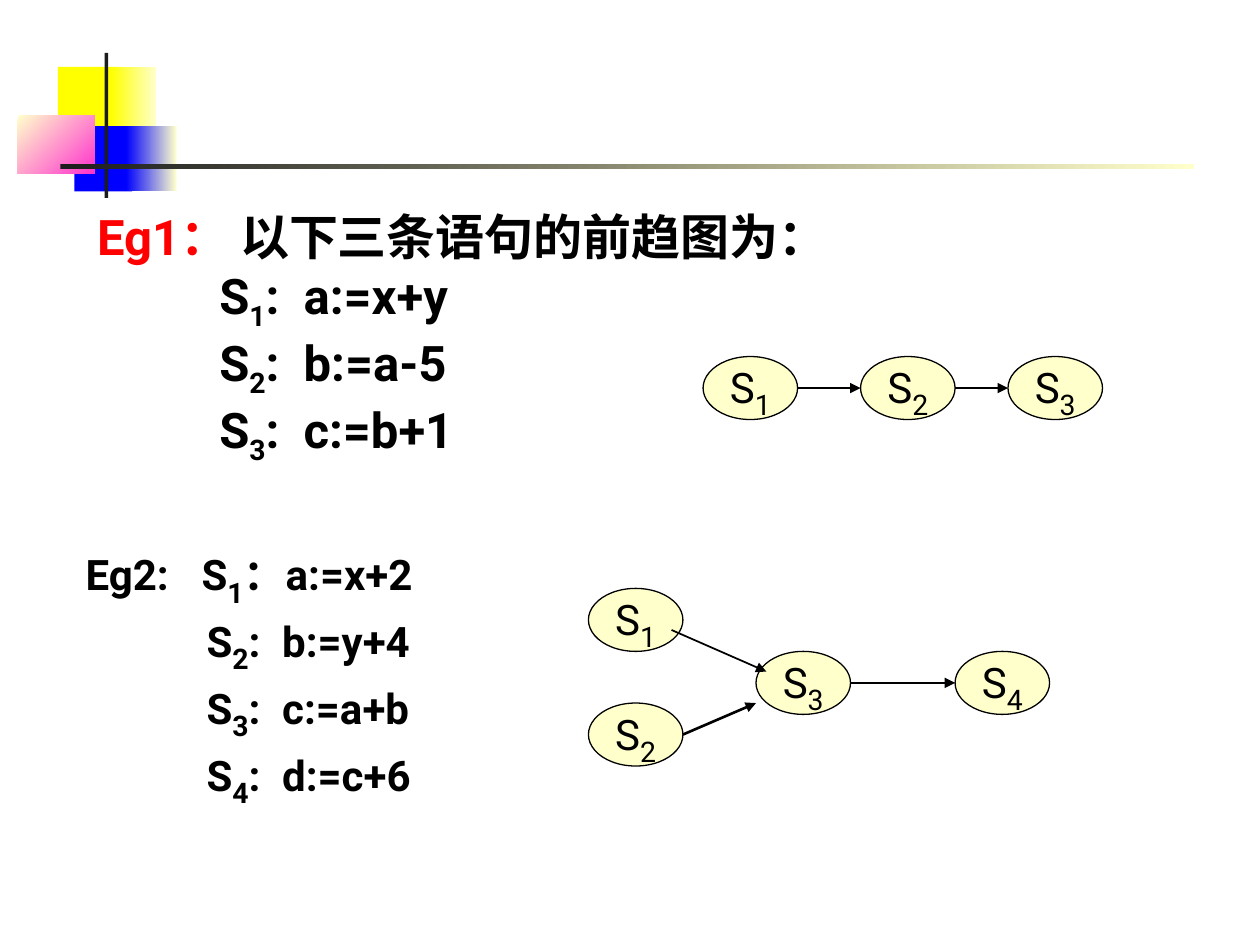
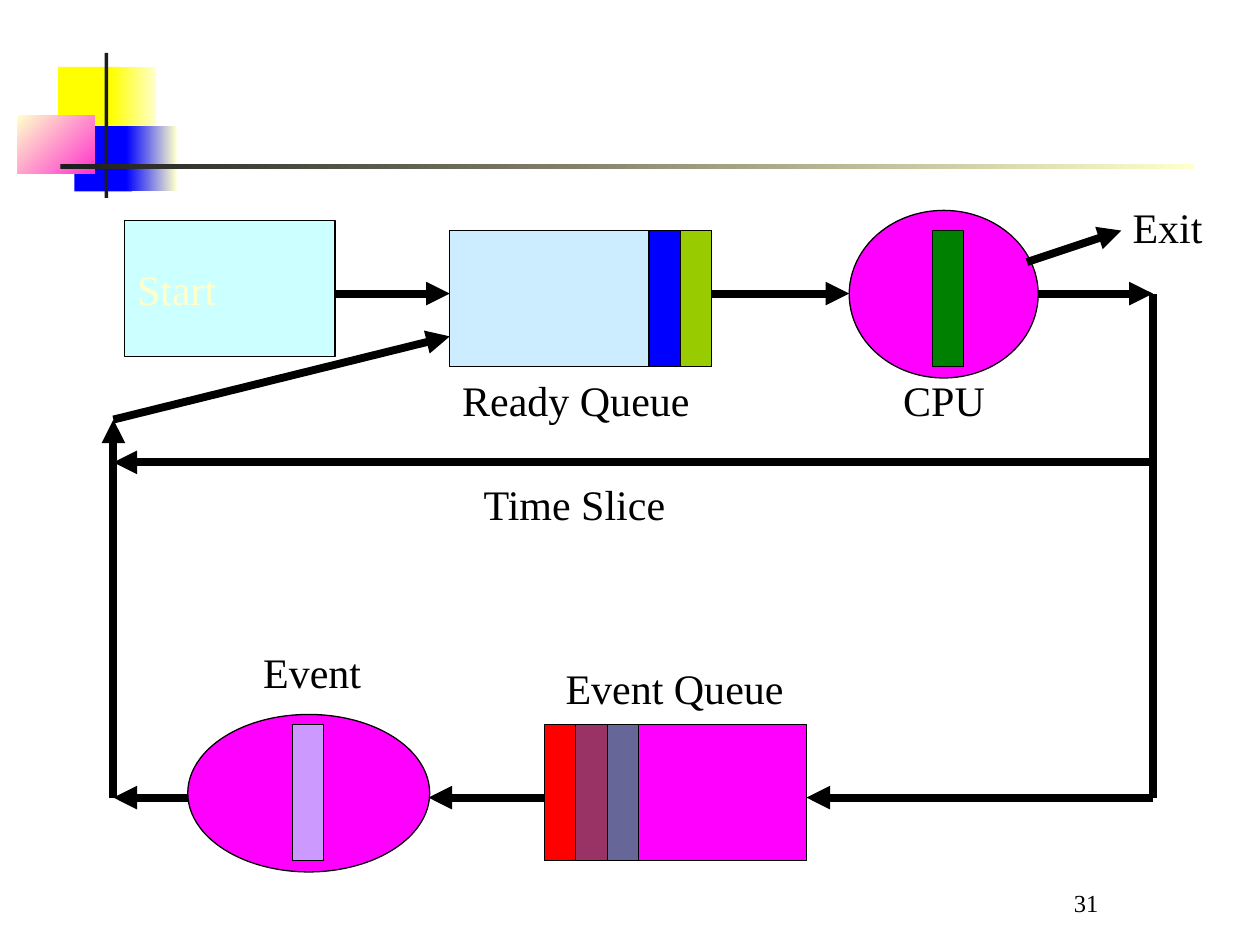
from dataclasses import dataclass

from lxml.etree import SubElement
from pptx import Presentation
from pptx.dml.color import RGBColor
from pptx.enum.shapes import MSO_CONNECTOR as Line, MSO_SHAPE as Shape
from pptx.enum.text import MSO_ANCHOR as Anchor, MSO_AUTO_SIZE as AutoSize, PP_ALIGN as Align
from pptx.oxml.ns import qn
from pptx.util import Inches, Pt


@dataclass(frozen=True)
class Theme:
    sans: str = "Roboto"
    serif: str = "Times New Roman"
    ink: str = "000000"
    cream: str = "FFFFCC"
    red: str = "FF0000"
    yellow: str = "FFFF00"
    blue: str = "0000FF"
    pink: str = "FF33CC"
    charcoal: str = "1C1C1C"
    magenta: str = "FF00FF"
    aqua: str = "CCFFFF"
    sky: str = "CCECFF"
    green: str = "008000"
    lime: str = "99CC00"
    plum: str = "993366"
    slate: str = "666699"
    lilac: str = "CC99FF"
    heading: int = 28
    text: int = 24
    number: int = 14
    outline: float = 0.75
    thin: float = 1
    medium: float = 1.5
    thick: float = 4.5


THEME = Theme()


@dataclass(frozen=True)
class Box:
    left: float
    top: float
    width: float
    height: float

    def inner(self, dx, dy, width, height):
        return Box(self.left + dx, self.top + dy, width, height)

    def point(self, fx, fy):
        """Point at the given fractions of width and height."""
        return self.left + fx * self.width, self.top + fy * self.height

    def lengths(self):
        return [Inches(v) for v in (self.left, self.top, self.width, self.height)]


def set_formats(target, formats):
    for name, value in formats.items():
        setattr(target, name, value)


def place(placeholder, box):
    set_formats(placeholder, dict(zip(("left", "top", "width", "height"), box.lengths())))


def write(paragraph, text, font=THEME.serif, size=THEME.text, color=THEME.ink,
          bold=False, sub_size=None):
    """Add text; the character after an underscore is a subscript."""
    def add(piece, piece_size, subscript=False):
        if not piece:
            return
        run = paragraph.add_run()
        run.text = piece
        set_formats(run.font, {"name": font, "size": Pt(piece_size), "bold": bold})
        run.font.color.rgb = RGBColor.from_string(color)
        if subscript:
            run.font._element.set("baseline", "-25000")

    normal, *rest = text.split("_")
    add(normal, size)
    for piece in rest:
        add(piece[0], sub_size or size, True)
        add(piece[1:], size)


def indent(paragraph, left, hanging):
    """Hang the first line; its tab then lands on the left margin."""
    properties = paragraph._p.get_or_add_pPr()
    properties.set("marL", str(Inches(left)))
    properties.set("indent", str(-Inches(hanging)))
    SubElement(properties, qn("a:buNone"))


def add_figure(slide, kind, box, colors, outlined=True, angle=0):
    """Preset shape with a plain fill, or a gradient for two colours."""
    figure = slide.shapes.add_shape(kind, *box.lengths())
    figure.shadow.inherit = False
    if len(colors) == 1:
        figure.fill.solid()
        figure.fill.fore_color.rgb = RGBColor.from_string(colors[0])
    else:
        figure.fill.gradient()
        figure.fill.gradient_angle = angle
        for stop, color in zip(figure.fill.gradient_stops, colors):
            stop.color.rgb = RGBColor.from_string(color)
    if outlined:
        figure.line.color.rgb = RGBColor.from_string(THEME.ink)
        figure.line.width = Pt(THEME.outline)
    else:
        figure.line.fill.background()
    return figure


def add_line(slide, start, end, width, arrow=True):
    line = slide.shapes.add_connector(Line.STRAIGHT, *[Inches(v) for v in (*start, *end)])
    line.line.color.rgb = RGBColor.from_string(THEME.ink)
    line.line.width = Pt(width)
    properties = line._element.spPr
    if arrow:
        SubElement(properties.find(qn("a:ln")), qn("a:tailEnd"), type="triangle")
    SubElement(properties, qn("a:effectLst"))


def add_label(slide, box, text, size=THEME.text, **frame_formats):
    frame = slide.shapes.add_textbox(*box.lengths()).text_frame
    set_formats(frame, {"word_wrap": False, **frame_formats})
    write(frame.paragraphs[0], text, size=size)
    return frame.paragraphs[0]


def decorate_master(prs, slide):
    """Draw the corner blocks and rules, then hand them to the master."""
    t = THEME
    parts = [
        (Box(0.46, 0.53, 0.48, 0.52), [t.yellow], 0),
        (Box(0.88, 0.53, 0.36, 0.52), [t.yellow, t.cream], 0),
        (Box(0.59, 1, 0.46, 0.52), [t.blue], 0),
        (Box(1, 1, 0.4, 0.52), [t.blue, t.cream], 0),
        (Box(0.14, 0.92, 0.61, 0.46), [t.cream, t.pink], 315),
        (Box(0.83, 0.42, 0.03, 1.15), [t.charcoal], 0),
        (Box(0.48, 1.3, 9, 0.04), [t.charcoal, t.cream], 0),
    ]
    tree = prs.slide_master.shapes._spTree
    for position, (box, colors, angle) in enumerate(parts, 2):
        part = add_figure(slide, Shape.RECTANGLE, box, colors, False, angle)
        tree.insert(position, part._element)


def fill_first_example(title, box):
    place(title, box)
    frame = title.text_frame
    set_formats(frame, {"word_wrap": True, "auto_size": AutoSize.NONE,
                        "vertical_anchor": Anchor.BOTTOM, "margin_bottom": Inches(0.38)})
    style = {"font": THEME.sans, "size": THEME.heading, "bold": True}
    heading = frame.paragraphs[0]
    write(heading, "Eg1： ", color=THEME.red, **style)
    write(heading, "以下三条语句的前趋图为：", **style)
    for statement in ("S_1:\ta:=x+y", "S_2:\tb:=a-5", "S_3:\tc:=b+1"):
        paragraph = frame.add_paragraph()
        indent(paragraph, 1.64, 0.67)
        write(paragraph, statement, **style)
    for paragraph in frame.paragraphs:
        set_formats(paragraph, {"alignment": Align.LEFT, "space_before": Pt(0)})


def fill_second_example(body, box):
    place(body, box)
    frame = body.text_frame
    set_formats(frame, {"word_wrap": True, "auto_size": AutoSize.NONE})
    statements = ("Eg2:\tS_1：a:=x+2", "S_2:\tb:=y+4", "S_3:\tc:=a+b", "S_4:\td:=c+6")
    for number, statement in enumerate(statements):
        paragraph = frame.add_paragraph() if number else frame.paragraphs[0]
        indent(paragraph, *((1.56, 0.6) if number else (0.92, 0.92)))
        paragraph.space_before = Pt(0)
        write(paragraph, statement, THEME.sans, bold=True, sub_size=THEME.heading)


def draw_precedence(slide, box, nodes, edges):
    """Nodes are offsets in the box; edges join points given as fractions of a node."""
    ovals = {}
    for name, offset in nodes.items():
        ovals[name] = box.inner(*offset, 0.75, 0.5)
        oval = add_figure(slide, Shape.OVAL, ovals[name], [THEME.cream])
        set_formats(oval.text_frame, {"word_wrap": False, "vertical_anchor": Anchor.MIDDLE})
        paragraph = oval.text_frame.paragraphs[0]
        paragraph.alignment = Align.CENTER
        write(paragraph, name, THEME.sans, sub_size=THEME.heading)
    for source, exit_at, target, entry_at, width in edges:
        add_line(slide, ovals[source].point(*exit_at), ovals[target].point(*entry_at), width)


def build_precedence_slide(slide):
    fill_first_example(slide.shapes.title, Box(0.67, 1.33, 9.02, 2.75))
    fill_second_example(slide.placeholders[1], Box(0.58, 4.25, 9, 2.67))
    left, right = (0, 0.5), (1, 0.5)
    draw_precedence(
        slide, Box(5.58, 2.83, 3.17, 0.5),
        {"S_1": (0, 0), "S_2": (1.25, 0), "S_3": (2.42, 0)},
        [("S_1", right, "S_2", left, THEME.thin),
         ("S_2", right, "S_3", left, THEME.thin)])
    draw_precedence(
        slide, Box(4.67, 4.67, 3.66, 1.41),
        {"S_1": (0, 0), "S_2": (0, 0.91), "S_3": (1.33, 0.5), "S_4": (2.91, 0.5)},
        [("S_1", (0.88, 0.66), "S_3", (0.11, 0.32), THEME.thin),
         ("S_2", right, "S_3", (0, 0.82), THEME.medium),
         ("S_3", right, "S_4", left, THEME.medium)])


def draw_station(slide, kind, box, color, stripes=(), stripe_at=(0, 0)):
    """Queue or processor holding a row of process stripes."""
    station = add_figure(slide, kind, box, [color])
    for number, stripe in enumerate(stripes):
        dx, dy = stripe_at
        add_figure(slide, Shape.RECTANGLE, box.inner(dx + 0.25 * number, dy, 0.25, 1.08), [stripe])
    return station


def draw_flow(slide, box):
    """Arrows of the scheduling loop; the box is the loop itself."""
    right, bottom = box.width, box.height
    slice_y, merge_y = 1.34, 1
    routes = [
        ((1.75, 0), (2.67, 0)), ((4.75, 0), (5.84, 0)), ((7.34, 0), (right, 0)),
        ((right, bottom), (5.5, bottom)), ((3.42, bottom), (2.5, bottom)),
        ((0.59, bottom), (0, bottom)), ((0, bottom), (0, merge_y)),
        ((0, merge_y), (2.67, 0.34)), ((7.25, -0.25), (8, -0.5)),
        ((right, slice_y), (0, slice_y)),
    ]
    for start, end in routes:
        add_line(slide, *[(box.left + x, box.top + y) for x, y in (start, end)], THEME.thick)
    add_line(slide, box.point(1, 0), box.point(1, 1), THEME.thick, arrow=False)


def build_scheduling_slide(slide):
    t = THEME
    loop = Box(0.9, 2.33, 8.25, 4)
    start = draw_station(slide, Shape.RECTANGLE, loop.inner(0.09, -0.58, 1.67, 1.08), t.aqua)
    start.text_frame.vertical_anchor = Anchor.MIDDLE
    start.text_frame.paragraphs[0].alignment = Align.LEFT
    write(start.text_frame.paragraphs[0], "Start", color=t.cream)

    stations = [
        (Shape.RECTANGLE, (2.67, -0.5, 2.08, 1.08), t.sky, [t.blue, t.lime], (1.58, 0)),
        (Shape.OVAL, (5.84, -0.66, 1.5, 1.33), t.magenta, [t.green], (0.66, 0.16)),
        (Shape.RECTANGLE, (3.42, 3.42, 2.08, 1.08), t.magenta, [t.red, t.plum, t.slate], (0, 0)),
        (Shape.OVAL, (0.59, 3.34, 1.92, 1.25), t.magenta, [t.lilac], (0.83, 0.08)),
    ]
    for kind, area, color, stripes, stripe_at in stations:
        draw_station(slide, kind, loop.inner(*area), color, stripes, stripe_at)
    draw_flow(slide, loop)

    captions = {
        "Ready Queue": (2.67, 0.59, 2), "CPU": (6.17, 0.59, 0.85),
        "Exit": (7.99, -0.78, 0.75), "Time Slice": (2.84, 1.42, 1.65),
        "Event": (1.09, 2.75, 0.98), "Event Queue": (3.49, 2.88, 1.93),
    }
    for caption, (dx, dy, width) in captions.items():
        add_label(slide, loop.inner(dx, dy, width, 0.5), caption, margin_right=Inches(0))
    number = add_label(slide, Box(7.58, 6.83, 2.08, 0.5), "31", t.number,
                       vertical_anchor=Anchor.BOTTOM)
    number.alignment = Align.CENTER


def main():
    prs = Presentation()
    set_formats(prs, {"slide_width": Inches(10), "slide_height": Inches(7.5)})
    precedence = prs.slides.add_slide(prs.slide_layouts[1])
    decorate_master(prs, precedence)
    build_precedence_slide(precedence)
    build_scheduling_slide(prs.slides.add_slide(prs.slide_layouts[6]))
    prs.save("out.pptx")


if __name__ == "__main__":
    main()
